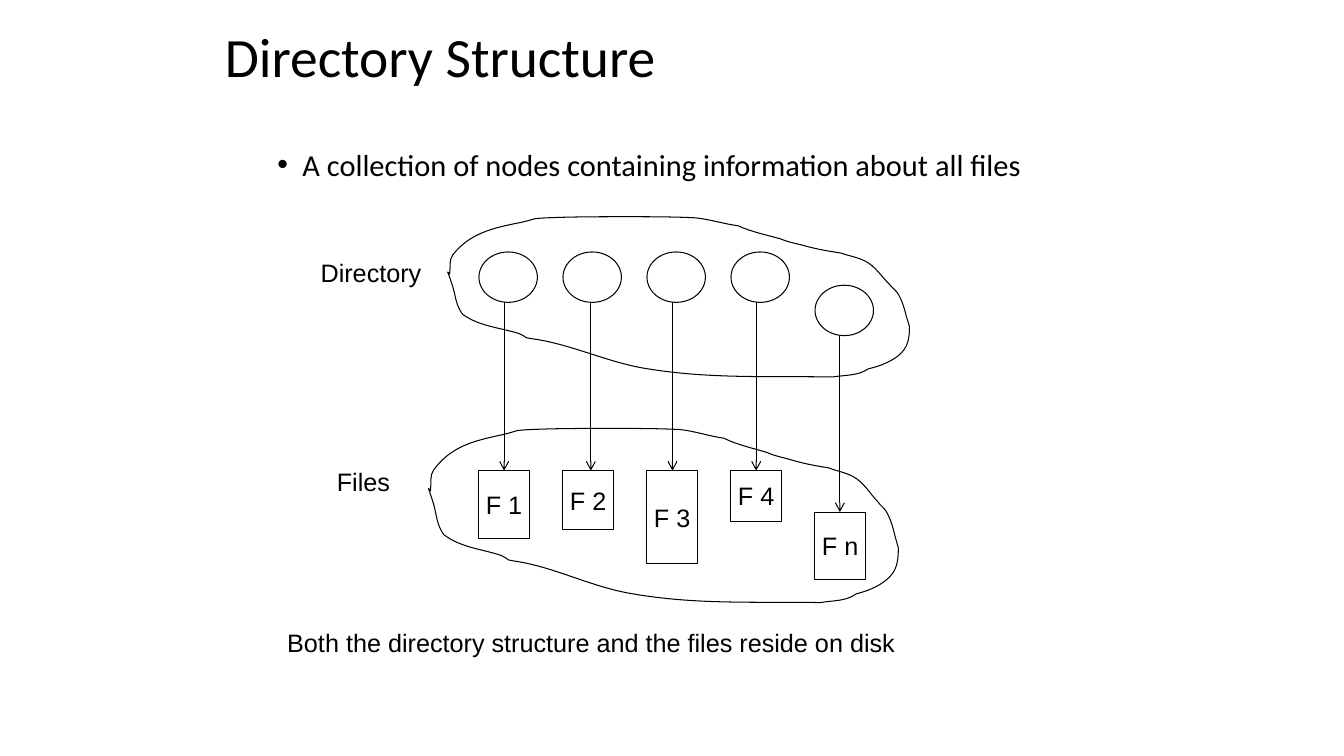
from lxml import etree
from pptx import Presentation
from pptx.dml.color import RGBColor as Rgb
from pptx.enum.shapes import MSO_CONNECTOR as Conn, MSO_SHAPE as Kind
from pptx.enum.text import MSO_ANCHOR as Anchor, MSO_AUTO_SIZE as Fit, PP_ALIGN as Align
from pptx.oxml.ns import qn
from pptx.util import Inches, Pt

COLORS = {"ink": "000000", "paper": "FFFFFF"}
STEP = 5 / 6
NODES = [
    ("F 1", 2.5, 4.67, 0.67, 5),
    ("F 2", 2.5, 4.67, 0.58, 5.86),
    ("F 3", 2.5, 4.67, 0.92, 6.67),
    ("F 4", 2.5, 4.67, 0.5, 7.5),
    ("F n", 2.83, 5.08, 0.67, 8.33),
]
CLOUDS = [(4.44, 2.15, 4.58, 1.61), (4.25, 4.25, 4.66, 1.75)]
START = (0.02, 0.57)
CURVES = [
    ((0.03, 0.5), (0.01, 0.43), (0.05, 0.38)),
    ((0.22, 0.16), (0.46, 0.11), (0.71, 0.06)),
    ((0.9, 0.02), (0.8, 0.02), (1.01, 0.01)),
    ((1.27, 0), (1.52, 0), (1.77, 0)),
    ((1.99, 0), (2.21, 0), (2.44, 0.01)),
    ((2.58, 0.02), (2.73, 0.07), (2.88, 0.09)),
    ((3.01, 0.15), (3.16, 0.18), (3.3, 0.22)),
    ((3.37, 0.25), (3.43, 0.26), (3.51, 0.28)),
    ((3.65, 0.32), (3.76, 0.34), (3.9, 0.36)),
    ((3.98, 0.39), (4.06, 0.4), (4.14, 0.44)),
    ((4.24, 0.49), (4.3, 0.59), (4.38, 0.67)),
    ((4.41, 0.71), (4.45, 0.73), (4.47, 0.77)),
    ((4.51, 0.84), (4.53, 0.91), (4.55, 0.99)),
    ((4.56, 1.02), (4.58, 1.09), (4.58, 1.09)),
    ((4.58, 1.13), (4.58, 1.22), (4.55, 1.28)),
    ((4.49, 1.41), (4.3, 1.48), (4.17, 1.51)),
    ((4.07, 1.58), (3.94, 1.57), (3.82, 1.59)),
    ((3.18, 1.58), (2.61, 1.61), (1.99, 1.51)),
    ((1.59, 1.45), (1.22, 1.26), (0.83, 1.21)),
    ((0.81, 1.21), (0.79, 1.2), (0.78, 1.2)),
    ((0.76, 1.19), (0.74, 1.17), (0.71, 1.16)),
    ((0.52, 1.1), (0.32, 1.09), (0.15, 0.97)),
    ((0.08, 0.88), (0.08, 0.79), (0.05, 0.69)),
    ((0.05, 0.69), (0.01, 0.57), (0, 0.55)),
    ((0, 0.54), (0.01, 0.56), (0.02, 0.57)),
]


def ink(name):
    return Rgb.from_string(COLORS[name])


def apply(item, values):
    for name, value in values.items():
        setattr(item, name, value)


def place(shape, box):
    apply(shape, dict(zip(("left", "top", "width", "height"), map(Inches, box))))


def write(shape, text, size, font="Arial", frame=None, para=None):
    body = shape.text_frame
    body.text = text
    apply(body, {"word_wrap": True, "auto_size": Fit.NONE, **(frame or {})})
    first = body.paragraphs[0]
    apply(first, para or {})
    run = first.runs[0]
    apply(run.font, {"size": Pt(size), "name": font})
    run.font.color.rgb = ink("ink")


def outline(shape):
    shape.line.color.rgb = ink("ink")
    shape.line.width = Pt(0.75)


def draw(slide, kind, box):
    shape = slide.shapes.add_shape(kind, *map(Inches, box))
    shape.shadow.inherit = False
    shape.fill.solid()
    shape.fill.fore_color.rgb = ink("paper")
    outline(shape)
    return shape


def label(slide, text, box, frame=None, para=None):
    write(slide.shapes.add_textbox(*map(Inches, box)), text, 18, frame=frame, para=para)


def arrow(slide, x, top, end):
    link = slide.shapes.add_connector(
        Conn.STRAIGHT, Inches(x), Inches(top), Inches(x), Inches(end))
    outline(link)
    props = link._element.spPr
    etree.SubElement(props.find(qn("a:ln")), qn("a:tailEnd"), type="arrow")
    etree.SubElement(props, qn("a:effectLst"))


def bend(shape):
    lines = list(shape._element.iter(qn("a:lnTo")))
    for i in range(0, len(CURVES) * 3, 3):
        trio = lines[i:i + 3]
        curve = etree.Element(qn("a:cubicBezTo"))
        trio[0].addprevious(curve)
        for line in trio:
            curve.append(line[0])
            line.getparent().remove(line)


def cloud(slide, box):
    left, top, wide, high = box
    base = CLOUDS[0]

    def spot(x, y):
        return Inches(left + x * wide / base[2]), Inches(top + y * high / base[3])

    pen = slide.shapes.build_freeform(*spot(*START))
    pen.add_line_segments([spot(*point) for curve in CURVES for point in curve], close=True)
    shape = pen.convert_to_shape()
    bend(shape)
    shape.shadow.inherit = False
    shape.fill.background()
    outline(shape)


def bullet(shape):
    props = shape.text_frame.paragraphs[0]._p.get_or_add_pPr()
    for name, value in {"marL": 0.25, "indent": -0.25}.items():
        props.set(name, str(Inches(value)))
    etree.SubElement(props, qn("a:buFont"), typeface="Arial")
    etree.SubElement(props, qn("a:buChar"), char="•")


def main():
    deck = Presentation()
    apply(deck, {"slide_width": Inches(13.33), "slide_height": Inches(7.5)})
    slide = deck.slides.add_slide(deck.slide_layouts[1])
    title, body = slide.placeholders
    place(title, (2.13, 0.28, 9, 0.63))
    write(title, "Directory Structure", 39.6, "Calibri",
          {"vertical_anchor": Anchor.MIDDLE},
          {"alignment": Align.LEFT, "line_spacing": 0.9})
    place(body, (2.65, 1.5, 8.14, 0.39))
    write(body, "A collection of nodes containing information about all files",
          21.7, "Calibri", para={"line_spacing": 0.7, "space_before": Pt(10)})
    bullet(body)

    middle = {"word_wrap": False, "vertical_anchor": Anchor.MIDDLE}
    center = {"alignment": Align.CENTER}
    for i, (_, top, *_) in enumerate(NODES):
        draw(slide, Kind.OVAL, (4.75 + i * STEP, top, 0.58, 0.5))
    for i, (name, _, base, high, _) in enumerate(NODES):
        card = draw(slide, Kind.RECTANGLE, (4.75 + i * STEP, base, 0.5, high))
        write(card, name, 18, frame=middle, para=center)
    for _, top, base, _, x in NODES:
        arrow(slide, x, top + 0.5, base)
    for box in CLOUDS:
        cloud(slide, box)

    grow = {**middle, "auto_size": Fit.SHAPE_TO_FIT_TEXT}
    label(slide, "Directory", (3.08, 2.5, 1.2, 0.4), grow, center)
    label(slide, "Files", (3.24, 4.58, 0.73, 0.4), grow, center)
    label(slide, "Both the directory structure and the files reside on disk",
          (2.75, 6.17, 8.31, 0.42))
    deck.save("out.pptx")


if __name__ == "__main__":
    main()
